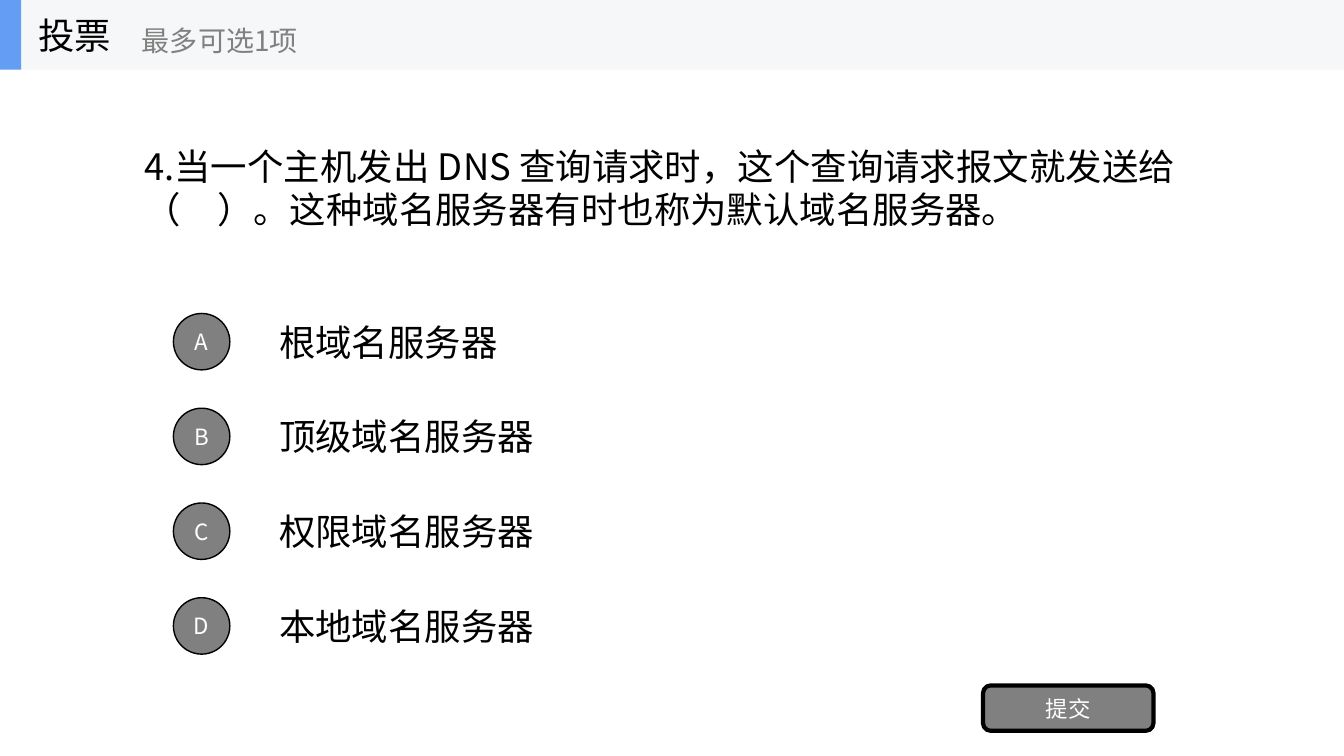
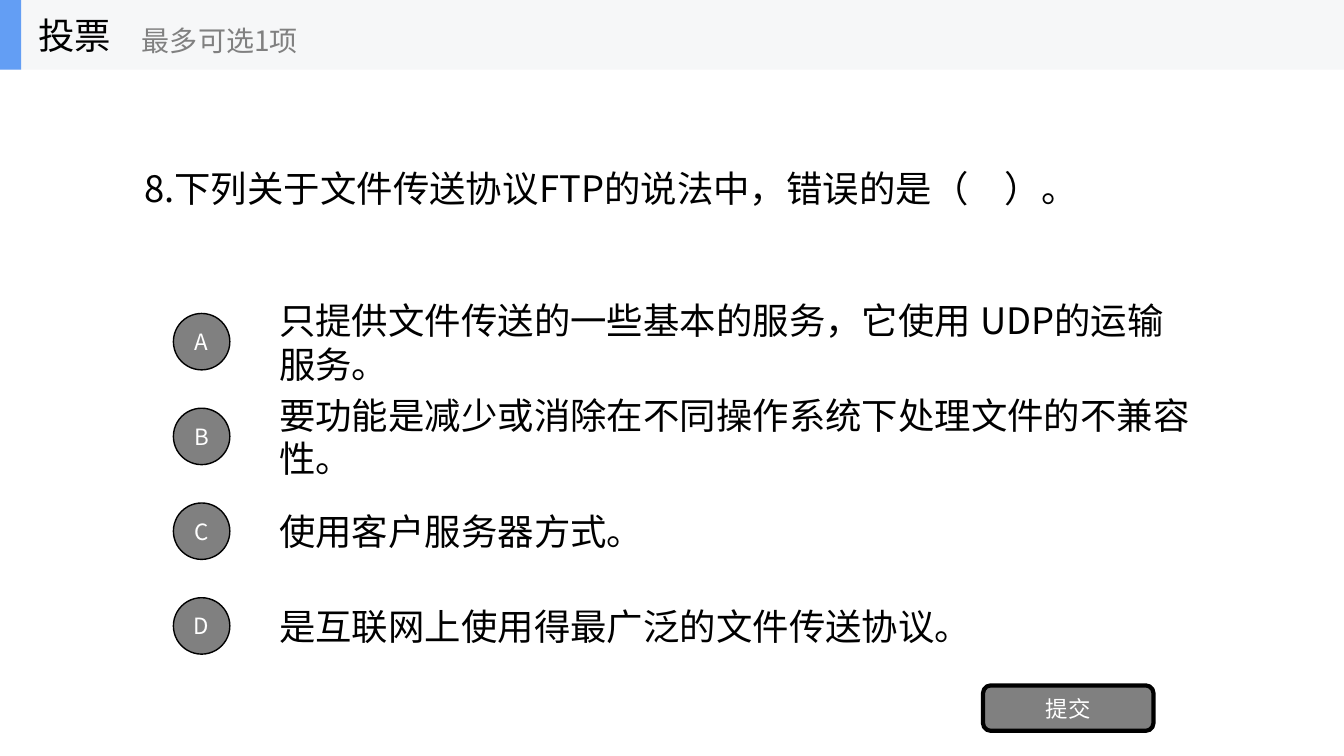
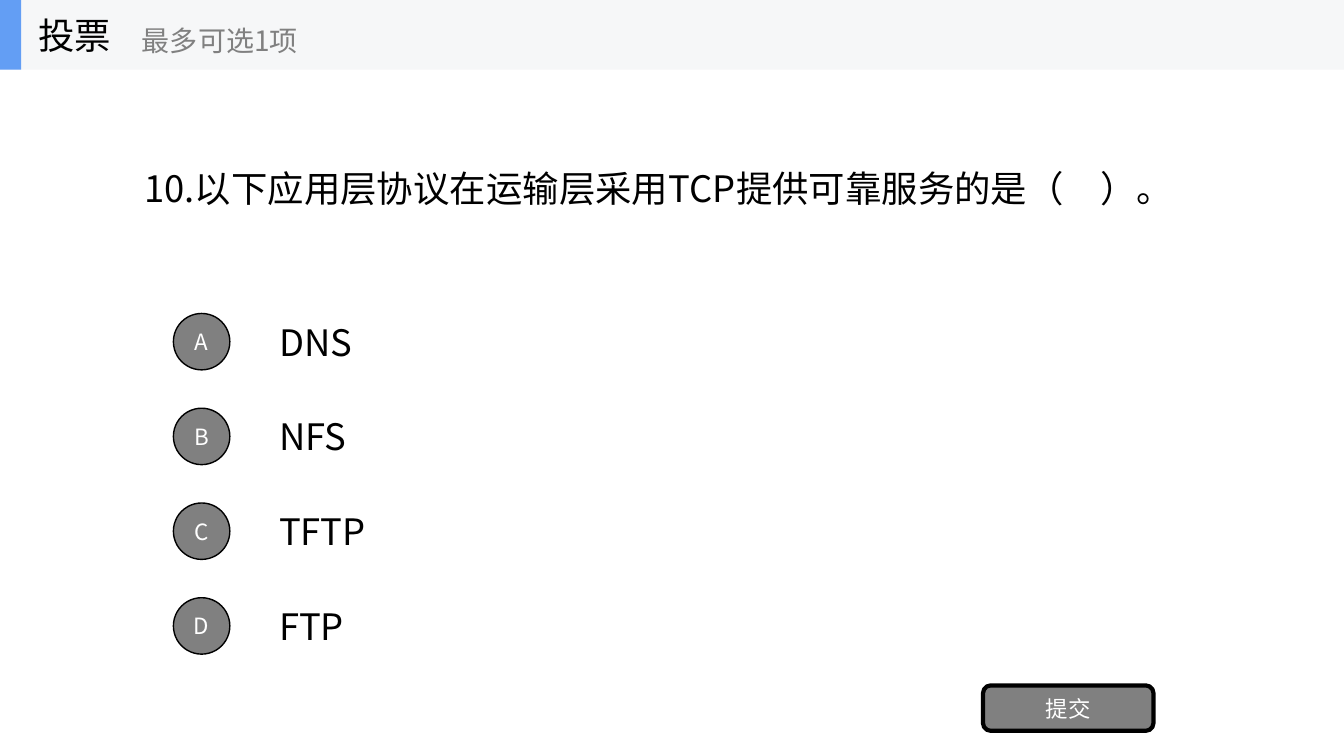
from dataclasses import dataclass

from lxml import etree
from pptx import Presentation
from pptx.dml.color import RGBColor
from pptx.enum.shapes import MSO_SHAPE as SHAPE
from pptx.enum.text import MSO_ANCHOR as ANCHOR, MSO_AUTO_SIZE as AUTO, PP_ALIGN as ALIGN
from pptx.oxml.ns import qn
from pptx.util import Inches, Pt


@dataclass(frozen=True)
class Theme:
    font: str = "Noto Sans CJK SC"
    ink: str = "000000"
    paper: str = "FFFFFF"
    gray: str = "808080"
    band: str = "F6F7F8"
    accent: str = "639EF4"
    main_size: int = 26
    hint_size: int = 20
    label_size: int = 16


@dataclass(frozen=True)
class Box:
    x: float
    y: float
    w: float
    h: float

    def inner(self, dx, dy, w, h):
        return Box(self.x + dx, self.y + dy, w, h)

    def emu(self):
        return [Inches(round(v, 2)) for v in (self.x, self.y, self.w, self.h)]


THEME = Theme()
SLIDE_W, SLIDE_H = 13.33, 7.5
HEADER = Box(0, 0, SLIDE_W, 0.69)
QUESTION = Box(1.33, 0.69, 10.67, 2.34)
OPTIONS = Box(1.72, 3.04, 10.28, 3.52)
SUBMIT = Box(9.75, 6.8, 1.69, 0.45)
OPTION_PITCH = 0.94

POLLS = [
    ("4.当一个主机发出 DNS 查询请求时，这个查询请求报文就发送给（　）。这种域名服务器有时也称为默认域名服务器。",
     ["根域名服务器", "顶级域名服务器", "权限域名服务器", "本地域名服务器"]),
    ("8.下列关于文件传送协议FTP的说法中，错误的是（　）。",
     ["只提供文件传送的一些基本的服务，它使用 UDP的运输服务。",
      "要功能是减少或消除在不同操作系统下处理文件的不兼容性。",
      "使用客户服务器方式。",
      "是互联网上使用得最广泛的文件传送协议。"]),
    ("10.以下应用层协议在运输层采用TCP提供可靠服务的是（　）。",
     ["DNS", "NFS", "TFTP", "FTP"]),
]


def write(sp, text, size=THEME.main_size, color=THEME.ink, align=ALIGN.LEFT):
    """Put one formatted paragraph into a shape."""
    tf = sp.text_frame
    tf.word_wrap = True
    tf.auto_size = AUTO.NONE
    tf.vertical_anchor = ANCHOR.MIDDLE
    p = tf.paragraphs[0]
    p.alignment = align
    r = p.add_run()
    r.text = text
    r.font.size = Pt(size)
    r.font.name = THEME.font
    r.font.color.rgb = RGBColor.from_string(color)
    etree.SubElement(r.font._element, qn("a:ea")).set("typeface", THEME.font)


def add_text(shapes, box, text, **fmt):
    write(shapes.add_textbox(*box.emu()), text, **fmt)


def add_block(shapes, kind, box, fill, line=0, label=None):
    """Add a filled shape, with an outline and a centred label if given."""
    sp = shapes.add_shape(kind, *box.emu())
    sp.shadow.inherit = False
    sp.fill.solid()
    sp.fill.fore_color.rgb = RGBColor.from_string(fill)
    if line:
        sp.line.color.rgb = RGBColor.from_string(THEME.ink)
        sp.line.width = Pt(line)
    else:
        sp.line.fill.background()
    if label:
        tf = sp.text_frame
        tf.margin_left = tf.margin_right = 0
        write(sp, label, size=THEME.label_size, color=THEME.paper, align=ALIGN.CENTER)


def add_question(slide, box, text):
    title = slide.shapes.title
    title.left, title.top, title.width, title.height = box.emu()
    write(title, text)


def add_options(slide, box, options):
    bubble, row_h, text_dx = 0.56, 0.7, 0.95
    for i, (letter, option) in enumerate(zip("ABCD", options)):
        dy = i * OPTION_PITCH
        add_text(slide.shapes, box.inner(text_dx, dy, box.w - text_dx, row_h), option)
        add_block(slide.shapes, SHAPE.OVAL,
                  box.inner(0, dy + (row_h - bubble) / 2, bubble, bubble),
                  THEME.gray, line=1, label=letter)


def add_header(slide, box):
    shapes = slide.shapes.add_group_shape().shapes
    add_block(shapes, SHAPE.RECTANGLE, box, THEME.band)
    add_block(shapes, SHAPE.RECTANGLE, box.inner(0, 0, 0.21, box.h), THEME.accent)
    add_text(shapes, box.inner(0.28, 0, 2.08, box.h), "投票")
    add_text(shapes, box.inner(1.31, 0.12, 2.5, 0.56), "最多可选1项",
             size=THEME.hint_size, color=THEME.gray)


def add_poll(prs, question, options):
    slide = prs.slides.add_slide(prs.slide_layouts.get_by_name("Title Only"))
    add_question(slide, QUESTION, question)
    add_options(slide, OPTIONS, options)
    # Submit button
    add_block(slide.shapes, SHAPE.ROUNDED_RECTANGLE, SUBMIT, THEME.gray, line=3, label="提交")
    add_header(slide, HEADER)


def main():
    prs = Presentation()
    prs.slide_width, prs.slide_height = Inches(SLIDE_W), Inches(SLIDE_H)
    for question, options in POLLS:
        add_poll(prs, question, options)
    prs.save("out.pptx")


if __name__ == "__main__":
    main()
